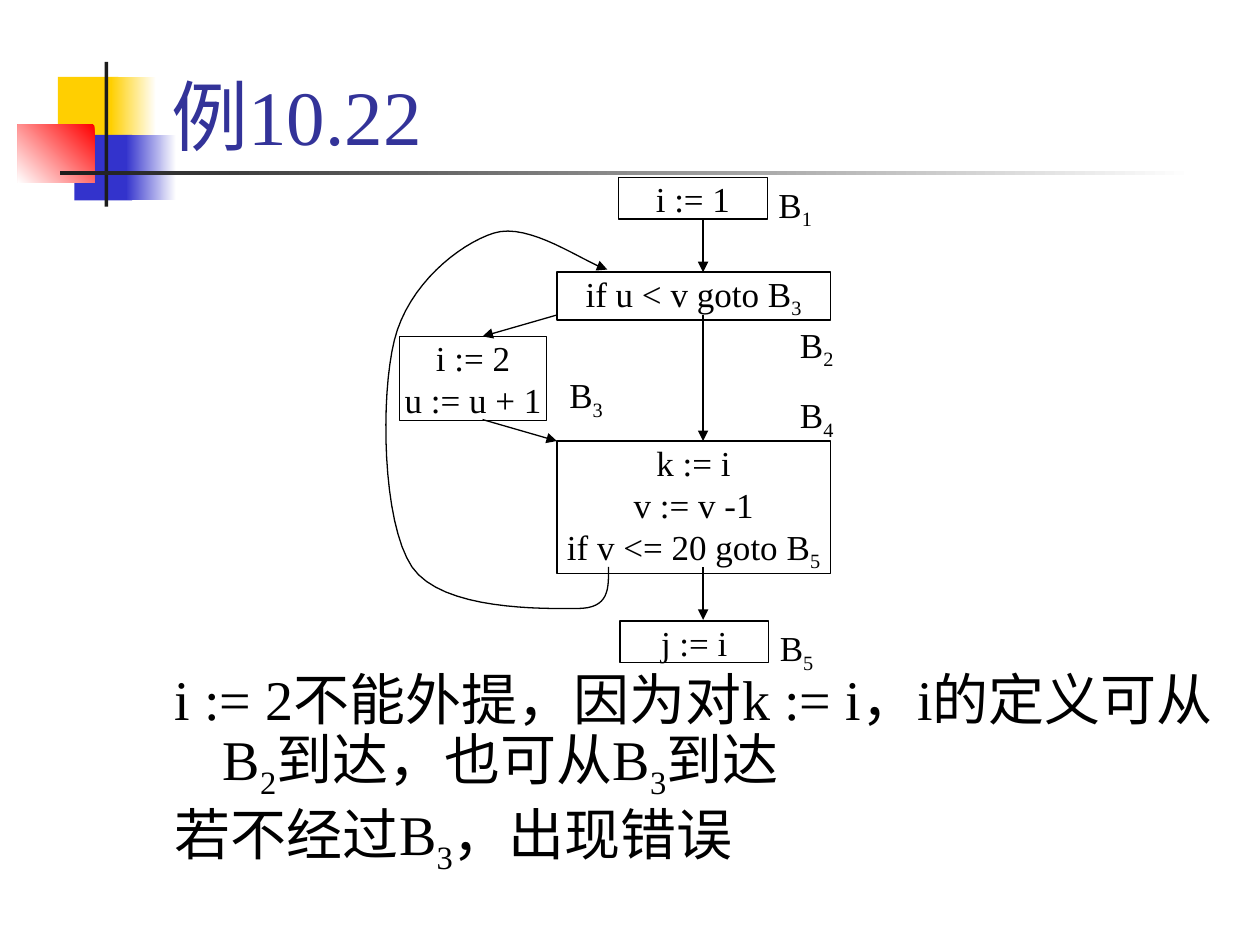
"""Build the slide for example 10.22: a flow graph and its conclusion."""
import pptx
import pptx.dml.color
import pptx.enum.shapes
import pptx.enum.text
import pptx.oxml
import pptx.oxml.ns
import pptx.util
from pptx.util import Inches

RGBColor = pptx.dml.color.RGBColor
BLACK = RGBColor(0x00, 0x00, 0x00)
WHITE = RGBColor(0xFF, 0xFF, 0xFF)
YELLOW = RGBColor(0xFF, 0xCF, 0x01)
BLUE = RGBColor(0x33, 0x33, 0xCC)
RED = RGBColor(0xFF, 0x00, 0x00)
CHARCOAL = RGBColor(0x1C, 0x1C, 0x1C)
TITLE_BLUE = RGBColor(0x33, 0x33, 0x99)
FONT = "Times New Roman"
RECTANGLE = pptx.enum.shapes.MSO_SHAPE.RECTANGLE
ALIGN = pptx.enum.text.PP_ALIGN
ANCHOR = pptx.enum.text.MSO_ANCHOR

DECORATIONS = [
    ((0.46, 0.61, 0.48, 0.52), (YELLOW,), 0),
    ((0.88, 0.61, 0.36, 0.52), (WHITE, YELLOW), 180),
    ((0.59, 1.07, 0.46, 0.52), (BLUE,), 0),
    ((1, 1.07, 0.4, 0.52), (WHITE, BLUE), 180),
    ((0.14, 0.99, 0.61, 0.46), (RED, WHITE), 225),
    ((0.83, 0.49, 0.03, 1.15), (CHARCOAL,), 0),
    ((0.48, 1.36, 9, 0.03), (WHITE, CHARCOAL), 180),
]
BLOCKS = [
    ((4.91, 1.41, 1.18, 0.33), ["i := 1"]),
    ((4.42, 2.16, 2.17, 0.38), ["if u < v goto B_3"]),
    ((3.17, 2.67, 1.17, 0.67), ["i := 2", "u := u + 1"]),
    ((4.42, 3.5, 2.17, 1.05), ["k := i", "v := v -1", "if v <= 20 goto B_5"]),
    ((4.92, 4.93, 1.18, 0.33), ["j := i"]),
]
BLOCK_LABELS = [(6.08, 1.41), (6.25, 2.52), (4.42, 2.92), (6.25, 3.08), (6.09, 4.93)]
EDGES = [
    ((5.58, 1.74), (5.58, 2.16)),
    ((5.58, 2.5), (5.58, 3.5)),
    ((5.58, 4.5), (5.58, 4.92)),
    ((4.42, 2.5), (3.83, 2.67)),
    ((3.83, 3.33), (4.42, 3.5)),
]
LOOP_START = (4.83, 4.5)
LOOP_CURVES = [
    ((4.83, 4.67), (4.84, 4.83), (4.58, 4.83)),
    ((4.32, 4.83), (3.51, 4.85), (3.27, 4.5)),
    ((3.03, 4.14), (3.02, 3.14), (3.13, 2.7)),
    ((3.24, 2.26), (3.64, 1.94), (3.92, 1.85)),
    ((4.2, 1.76), (4.63, 2.08), (4.82, 2.14)),
]
CONCLUSIONS = [
    "i := 2不能外提，因为对k := i，i的定义可从B_2到达，也可从B_3到达",
    "若不经过B_3，出现错误",
]


def add_run(paragraph, text, size, color=BLACK, subscript=False):
    """Add one formatted run."""
    run = paragraph.add_run()
    run.text = text
    run.font.name = FONT
    run.font.size = pptx.util.Pt(size)
    run.font.color.rgb = color
    if subscript:
        run.font._element.set("baseline", "-25000")


def write_line(paragraph, text, size):
    """Write text in which an underscore marks a one-digit subscript."""
    first, *others = text.split("_")
    add_run(paragraph, first, size)
    for part in others:
        add_run(paragraph, part[0], size, subscript=True)
        if part[1:]:
            add_run(paragraph, part[1:], size)


def write_lines(frame, lines, size):
    """Write each line as a paragraph and return the paragraphs."""
    frame.word_wrap = True
    frame.vertical_anchor = ANCHOR.TOP
    for index, line in enumerate(lines):
        paragraph = frame.add_paragraph() if index else frame.paragraphs[0]
        write_line(paragraph, line, size)
    return frame.paragraphs


def add_decoration(slide, box, colors, angle):
    """Add a borderless rectangle with a solid or gradient fill."""
    shape = slide.shapes.add_shape(RECTANGLE, *map(Inches, box))
    shape.shadow.inherit = False
    shape.line.fill.background()
    if len(colors) == 1:
        shape.fill.solid()
        shape.fill.fore_color.rgb = colors[0]
        return
    shape.fill.gradient()
    shape.fill.gradient_angle = angle
    for stop, color in zip(shape.fill.gradient_stops, colors):
        stop.color.rgb = color


def add_title(slide, text):
    """Fill the title placeholder and bring it in front of the decorations."""
    title = slide.shapes.title
    title.left, title.top, title.width, title.height = map(Inches, (1.26, 0.08, 8.52, 1.25))
    title.text_frame.vertical_anchor = ANCHOR.BOTTOM
    paragraph = title.text_frame.paragraphs[0]
    paragraph.alignment = ALIGN.LEFT
    add_run(paragraph, text, 44, TITLE_BLUE)
    slide.shapes._spTree.append(title._element)


def add_block(slide, box, statements):
    """Add a basic block with its statements."""
    block = slide.shapes.add_shape(RECTANGLE, *map(Inches, box))
    block.shadow.inherit = False
    block.fill.background()
    style_line(block.line)
    frame = block.text_frame
    frame.margin_left = frame.margin_right = frame.margin_top = frame.margin_bottom = 0
    for paragraph in write_lines(frame, statements, 20):
        paragraph.alignment = ALIGN.CENTER


def add_text(slide, box, lines, size, spacing):
    """Add a text box and return its paragraphs."""
    textbox = slide.shapes.add_textbox(*map(Inches, box))
    paragraphs = write_lines(textbox.text_frame, lines, size)
    for paragraph in paragraphs:
        paragraph.line_spacing = spacing
    return paragraphs


def style_line(line, arrow=False):
    """Give a line its colour, width and optional arrowhead."""
    line.color.rgb = BLACK
    line.width = pptx.util.Pt(0.75)
    if arrow:
        head = pptx.oxml.parse_xml(f'<a:tailEnd {pptx.oxml.ns.nsdecls("a")} type="triangle"/>')
        line._get_or_add_ln().append(head)


def add_edge(slide, start, end):
    """Add a straight control-flow arrow."""
    edge = slide.shapes.add_connector(
        pptx.enum.shapes.MSO_CONNECTOR.STRAIGHT, *map(Inches, start + end))
    style_line(edge.line, arrow=True)
    edge._element.spPr.append(
        pptx.oxml.parse_xml(f'<a:effectLst {pptx.oxml.ns.nsdecls("a")}/>'))


def curve_points(start, curves, steps=16):
    """Return points, as lengths, along a chain of cubic curves."""
    points = []
    for first, second, end in curves:
        for step in range(1, steps + 1):
            t = step / steps
            points.append(tuple(
                Inches((1 - t) ** 3 * a + 3 * (1 - t) ** 2 * t * b
                       + 3 * (1 - t) * t ** 2 * c + t ** 3 * d)
                for a, b, c, d in zip(start, first, second, end)))
        start = end
    return points


def add_back_edge(slide):
    """Add the curved arrow that closes the loop."""
    builder = slide.shapes.build_freeform(*map(Inches, LOOP_START))
    builder.add_line_segments(curve_points(LOOP_START, LOOP_CURVES), close=False)
    back_edge = builder.convert_to_shape()
    back_edge.shadow.inherit = False
    back_edge.fill.background()
    style_line(back_edge.line, arrow=True)


def main():
    """Build and save the slide."""
    presentation = pptx.Presentation()
    presentation.slide_width, presentation.slide_height = Inches(10), Inches(7.5)
    slide = presentation.slides.add_slide(presentation.slide_layouts[5])
    for decoration in DECORATIONS:
        add_decoration(slide, *decoration)
    add_title(slide, "例10.22")
    conclusions = add_text(slide, (1.29, 5.33, 8.5, 1.75), CONCLUSIONS, 32, 0.8)
    for paragraph in conclusions:
        properties = paragraph._p.get_or_add_pPr()
        properties.set("marL", str(Inches(0.38)))
        properties.set("indent", str(-Inches(0.38)))
    conclusions[1].space_before = pptx.util.Pt(8)
    for number, (block, corner) in enumerate(zip(BLOCKS, BLOCK_LABELS), 1):
        add_block(slide, *block)
        add_text(slide, corner + (0.58, 0.44), [f"B_{number}"], 20, 0.9)
    for edge in EDGES:
        add_edge(slide, *edge)
    add_back_edge(slide)
    presentation.save("out.pptx")


if __name__ == "__main__":
    main()
